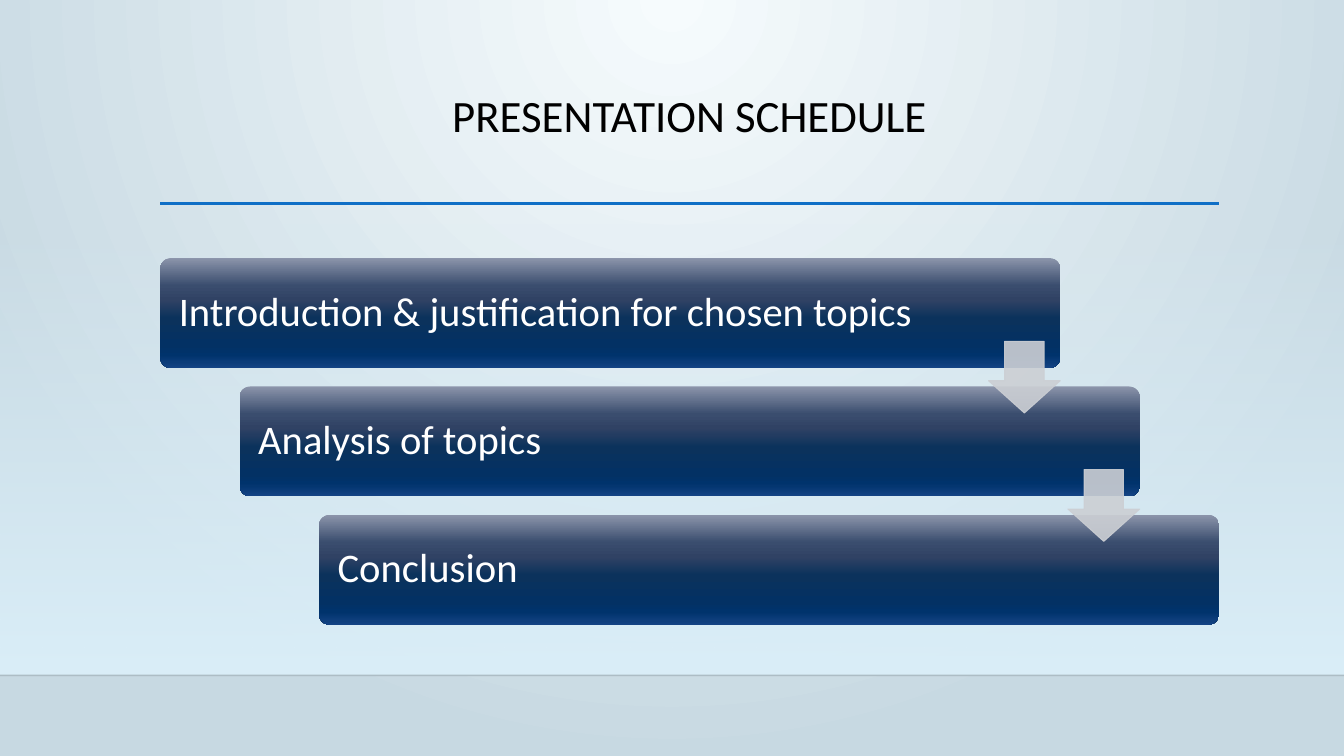
from lxml.etree import SubElement
from pptx import Presentation
from pptx.dml.color import RGBColor
from pptx.enum.shapes import MSO_CONNECTOR, MSO_SHAPE
from pptx.enum.text import MSO_ANCHOR, PP_ALIGN
from pptx.oxml.ns import qn
from pptx.util import Pt

WIDE, HIGH = 960, 540
FLOOR = 482.4
FONT = "Calibri"
HEX = {
    "glow": "F6FBFD", "edge": "C7D9E2", "haze": "DBEFF9", "floor": "000001",
    "rule": "0F6FC6", "title": "000000", "label": "FFFFFF", "arrow": "CCCFD4",
}
BAR = [(0, "8C95AB"), (25, "3A4D6E"), (38, "304264"), (55, "0B325C"),
       (80, "033164"), (88, "00336C"), (100, "144384")]
STEPS = ["Introduction & justification for chosen topics",
         "Analysis of topics", "Conclusion"]


def color(name):
    return RGBColor.from_string(HEX[name])


def fade(node, alpha):
    """Set the opacity, in percent, of each colour below a node."""
    for tint in node.iter(qn("a:srgbClr")):
        SubElement(tint, qn("a:alpha"), val=str(alpha * 1000))


def blend(fill, root, stops, focus=None):
    """Fill with a vertical gradient, or a round one about a focus."""
    fill.gradient()
    grad = next(root.iter(qn("a:gradFill")))
    for child in list(grad):
        grad.remove(child)
    group = SubElement(grad, qn("a:gsLst"))
    for place, tint in stops:
        stop = SubElement(group, qn("a:gs"), pos=str(place * 1000))
        SubElement(stop, qn("a:srgbClr"), val=tint)
    if focus:
        round_ = SubElement(grad, qn("a:path"), {"path": "circle"})
        sides = {side: str(part * 1000) for side, part in zip("ltrb", focus)}
        SubElement(round_, qn("a:fillToRect"), sides)
    else:
        SubElement(grad, qn("a:lin"), ang="5400000", scaled="0")
    return group


def add_part(slide, kind, x, y, w, h):
    part = slide.shapes.add_shape(kind, Pt(x), Pt(y), Pt(w), Pt(h))
    part.shadow.inherit = False
    part.line.fill.background()
    return part


def add_rule(slide, x, y, w, name, size):
    rule = slide.shapes.add_connector(
        MSO_CONNECTOR.STRAIGHT, Pt(x), Pt(y), Pt(x + w), Pt(y))
    rule.line.color.rgb = color(name)
    rule.line.width = Pt(size)
    SubElement(rule._element.spPr, qn("a:effectLst"))
    return rule


def style(frame, name, size):
    para = frame.paragraphs[0]
    para.line_spacing = 0.9
    for run in para.runs:
        run.font.name = FONT
        run.font.size = Pt(size)
        run.font.color.rgb = color(name)
    return para


def add_stage(slide):
    # Round glow, with a haze that thickens down to the floor line
    blend(slide.background.fill, slide._element,
          [(0, HEX["glow"]), (100, HEX["edge"])], (43, 0, 43, 100))
    top = 159
    haze = add_part(slide, MSO_SHAPE.RECTANGLE, 0, top, WIDE, FLOOR - top)
    stops = blend(haze.fill, haze._element,
                  [(0, HEX["haze"]), (100, HEX["haze"])])
    fade(stops[0], 0)
    line = add_rule(slide, 0, FLOOR, WIDE, "floor", 1)
    fade(line._element.spPr, 20)


def add_title(slide, x, y, w, h):
    title = slide.shapes.title
    title.left, title.top, title.width, title.height = map(Pt, (x, y, w, h))
    frame = title.text_frame
    frame.text = "PRESENTATION SCHEDULE"
    frame.word_wrap = True
    frame.vertical_anchor = MSO_ANCHOR.TOP
    style(frame, "title", 32).alignment = PP_ALIGN.CENTER
    add_rule(slide, x, y + h - 0.7, w, "rule", 2.5)


def add_steps(slide, x, y, w, h):
    # Bars fill the box as a staircase
    wide, high, size = w * 0.85, h * 0.3, 51.2
    gaps = len(STEPS) - 1
    over, down = (w - wide) / gaps, (h - high) / gaps
    for i, text in enumerate(STEPS):
        bar = add_part(slide, MSO_SHAPE.ROUNDED_RECTANGLE,
                       x + i * over, y + i * down, wide, high)
        bar.adjustments[0] = 0.1
        blend(bar.fill, bar._element, BAR)
        frame = bar.text_frame
        frame.text = text
        frame.word_wrap = True
        frame.margin_left = frame.margin_right = Pt(11)
        frame.vertical_anchor = MSO_ANCHOR.MIDDLE
        style(frame, "label", 29).alignment = PP_ALIGN.LEFT
    # Arrows lead from each bar to the next
    for i in range(gaps):
        arrow = add_part(slide, MSO_SHAPE.DOWN_ARROW,
                         x + i * over + wide - size, y + i * down + 59.5,
                         size, size)
        arrow.adjustments[0], arrow.adjustments[1] = 0.55, 0.45
        arrow.fill.solid()
        arrow.fill.fore_color.rgb = color("arrow")
        arrow.line.color.rgb = color("arrow")
        arrow.line.width = Pt(0.75)
        fade(arrow._element.spPr, 90)


def main():
    deck = Presentation()
    deck.slide_width, deck.slide_height = Pt(WIDE), Pt(HIGH)
    slide = deck.slides.add_slide(deck.slide_layouts[5])
    add_stage(slide)
    add_title(slide, 114.4, 63.3, 756.4, 82.6)
    add_steps(slide, 114.4, 184.3, 756.4, 262)
    deck.save("out.pptx")


if __name__ == "__main__":
    main()
